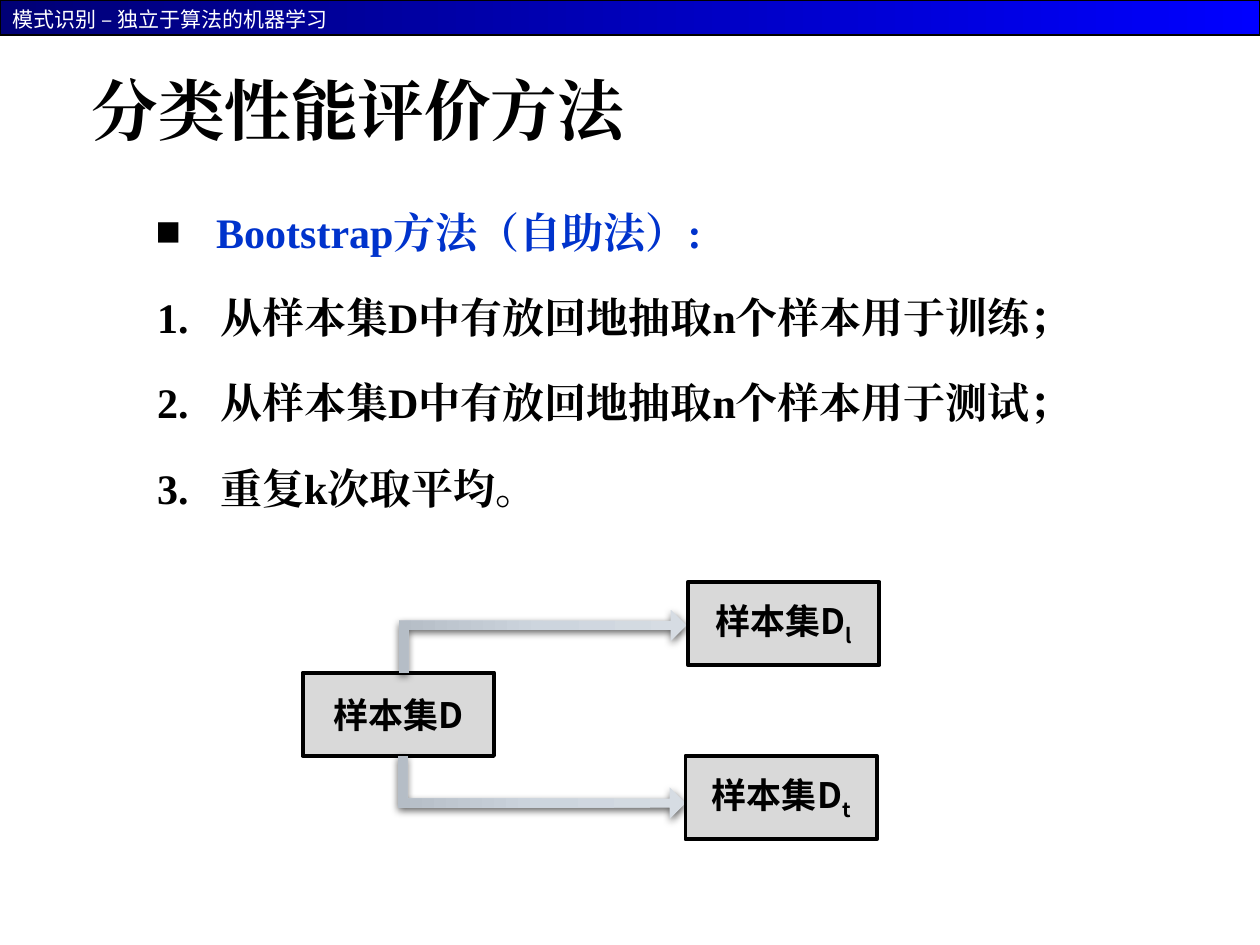
from lxml.etree import SubElement
from pptx import Presentation
from pptx.dml.color import RGBColor
from pptx.enum.shapes import MSO_SHAPE
from pptx.enum.text import MSO_ANCHOR, PP_ALIGN
from pptx.oxml.ns import qn
from pptx.util import Cm, Pt

SANS, SERIF, OPEN = "Noto Sans CJK SC", "Times New Roman", "Open Sans"
BLACK, WHITE, BLUE, GREY = "000000", "FFFFFF", "0033CC", "D9D9D9"


def hue(code):
    return RGBColor.from_string(code)


def apply(item, form):
    for name, value in form.items():
        setattr(item, name, value)


def node(base, tag, **attrs):
    return SubElement(base, qn("a:" + tag), {k: str(v) for k, v in attrs.items()})


def write(para, text, face, size, color, bold=False, drop=0):
    run = para.add_run()
    run.text = text
    apply(run.font, {"name": face, "size": Pt(size), "bold": bold})
    run.font.color.rgb = hue(color)
    props = run.font._element
    node(props, "ea", typeface=face)
    if drop:
        props.set("baseline", str(drop * 1000))


def frame(shapes, box, **form):
    text = shapes.add_textbox(*map(Cm, box)).text_frame
    apply(text, {"word_wrap": True, **form})
    return text


def block(shapes, kind, box, line=None):
    shape = shapes.add_shape(kind, *map(Cm, box))
    shape.shadow.inherit = False
    if line:
        shape.line.color.rgb = hue(BLACK)
        shape.line.width = Pt(line)
    else:
        shape.line.fill.background()
    return shape


def blend(shape, stops, angle):
    shape.fill.gradient()
    shape.fill.gradient_angle = angle
    group = shape._element.spPr.find(qn("a:gradFill")).find(qn("a:gsLst"))
    for stop in list(group):
        group.remove(stop)
    for place, code in stops:
        node(node(group, "gs", pos=place * 1000), "srgbClr", val=code)


# Header band
def header(shapes, box):
    x, y, w, h = box
    blend(block(shapes, MSO_SHAPE.RECTANGLE, box, 0.75),
          [(0, "000076"), (100, "0000FF")], 0)
    text = frame(shapes, (x, y, 9.1, 0.76), vertical_anchor=MSO_ANCHOR.MIDDLE)
    for part, face in (("模式识别 ", OPEN), ("– ", SANS), ("独立于算法的机器学习", OPEN)):
        write(text.paragraphs[0], part, face, 12, WHITE)


# Slide title
def title(shapes, box):
    text = frame(shapes, box, vertical_anchor=MSO_ANCHOR.BOTTOM)
    write(text.paragraphs[0], "分类性能评价方法", SERIF, 38, BLACK, True)


# Heading with a square bullet, then numbered steps
def body(shapes, box):
    text = frame(shapes, box)
    lines = ["Bootstrap方法（自助法）:", "从样本集D中有放回地抽取n个样本用于训练；",
             "从样本集D中有放回地抽取n个样本用于测试；", "重复k次取平均。"]
    for i, line in enumerate(lines):
        para = text.add_paragraph() if i else text.paragraphs[0]
        apply(para, {"line_spacing": 1.5, "space_before": Pt(5.5)})
        props = para._p.get_or_add_pPr()
        left, hang = (2.59, 1.27) if i else (2.51, 1.22)
        props.set("marL", str(Cm(left)))
        props.set("indent", str(-Cm(hang)))
        node(node(props, "buClr"), "srgbClr", val=BLACK)
        node(props, "buFont", typeface=SANS if i else SERIF)
        if i:
            node(props, "buAutoNum", type="arabicPeriod")
        else:
            node(props, "buChar", char="■")
        write(para, line, SERIF, 24, BLACK if i else BLUE, True)


def sample(shapes, box, mark):
    shape = block(shapes, MSO_SHAPE.RECTANGLE, box, 2.25)
    shape.fill.solid()
    shape.fill.fore_color.rgb = hue(GREY)
    text = shape.text_frame
    text.vertical_anchor = MSO_ANCHOR.MIDDLE
    para = text.paragraphs[0]
    para.alignment = PP_ALIGN.CENTER
    write(para, "样本集D", SANS, 20, BLACK, True)
    if mark:
        write(para, mark, SANS, 20, BLACK, True, -25)


def arrow(shapes, box, turn, flips):
    shape = block(shapes, MSO_SHAPE.BENT_UP_ARROW, box)
    shape.rotation = turn
    for i, value in enumerate((0.144, 0.25, 0.25)):
        shape.adjustments[i] = value
    blend(shape, [(0, "D6DCE3"), (50, "CDD5DE"), (100, "B5BDC6")], 270)
    props = shape._element.spPr
    for flip in flips:
        props.find(qn("a:xfrm")).set(flip, "1")
    cast = node(props.find(qn("a:effectLst")), "outerShdw", blurRad=Pt(4.5),
                dist=Pt(1.5), dir=5400000, algn="ctr", rotWithShape=0)
    node(node(cast, "srgbClr", val=BLACK), "alpha", val=63000)


# Split of the sample set into two sets
def split(shapes, x, y):
    group = shapes.add_group_shape().shapes
    wide, high = 3.86, 1.68
    sample(group, (x, y + 1.83, wide, high), "")
    arrow(group, (x + 4.21, y - 1.7, 1.27, 5.79), 90, ["flipH"])
    sample(group, (x + 7.77, y, wide, high), "l")
    arrow(group, (x + 4.19, y + 1.25, 1.27, 5.79), 270, ["flipH", "flipV"])
    sample(group, (x + 7.72, y + 3.51, wide, high), "t")


deck = Presentation()
apply(deck, {"slide_width": Cm(25.4), "slide_height": Cm(19.05)})
shapes = deck.slides.add_slide(deck.slide_layouts[6]).shapes
header(shapes, (0, 0, 25.4, 0.71))
title(shapes, (1.6, 0.84, 22.22, 2.29))
body(shapes, (1.6, 3.53, 22.22, 15.21))
split(shapes, 6.1, 11.73)
deck.save("out.pptx")
